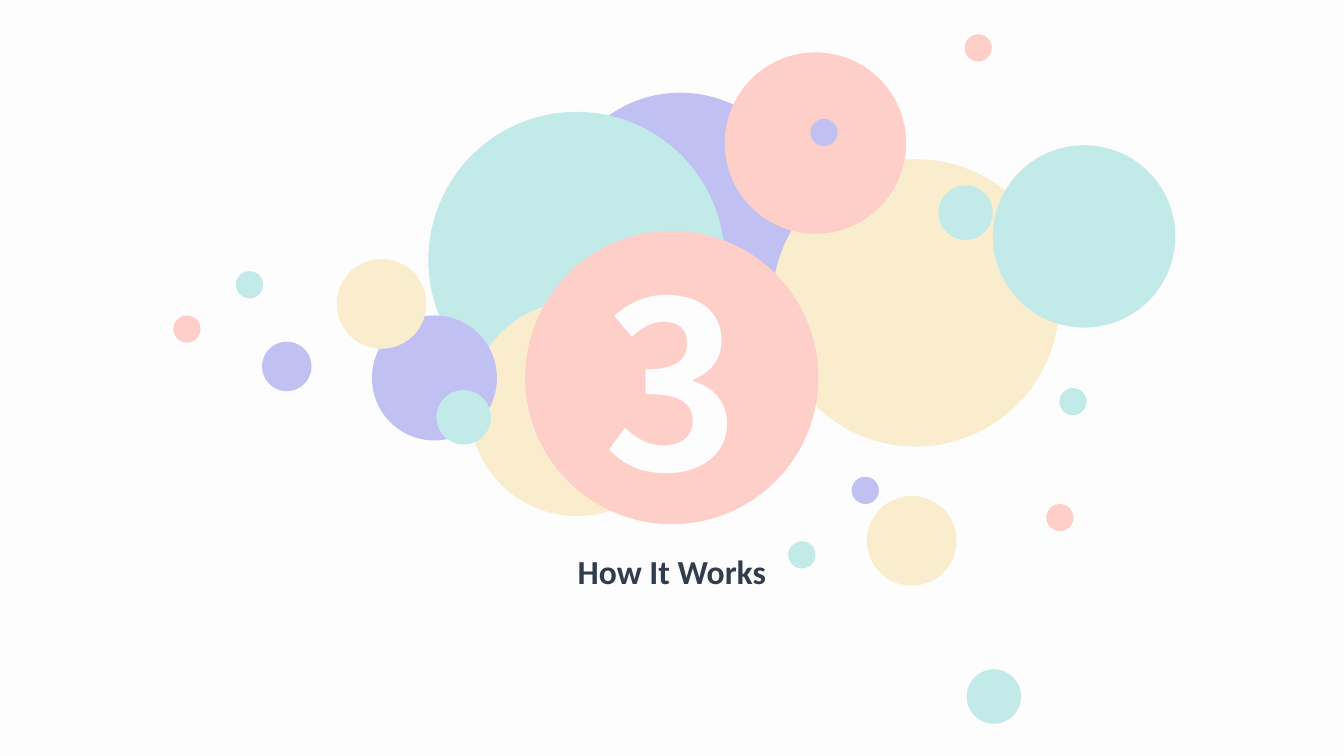
from dataclasses import dataclass

from pptx import Presentation
from pptx import util as u
from pptx.dml import color
from pptx.enum import shapes, text


@dataclass(frozen=True)
class Theme:
    """Colours, fonts and type sizes of the deck."""
    paper: str = "FDFDFD"
    ink: str = "313D4D"
    lilac: str = "C0C0F2"
    mint: str = "C2EAE8"
    cream: str = "FAEDCE"
    coral: str = "FECFC8"
    number_font: str = "Noto Sans CJK KR"
    title_font: str = "Calibri"
    number_size: int = 166
    title_size: int = 24


COLUMNS, ROWS = 40, 22.5
DOT, BEAD, BALL = 0.81, 1.62, 2.67

BUBBLES = [
    ("lilac", 16.56, 2.76, 7.38),
    ("mint", 12.75, 3.33, 8.82),
    ("cream", 13.98, 8.97, 6.39),
    ("cream", 22.98, 4.74, 8.55),
    ("coral", 21.57, 1.56, 5.4),
    ("lilac", 11.07, 9.39, 3.72),
    ("cream", 25.8, 14.76, BALL),
    ("lilac", 25.35, 14.19, DOT),
    ("mint", 23.46, 16.11, DOT),
    ("coral", 31.14, 15, DOT),
    ("mint", 28.77, 19.92, BEAD),
    ("mint", 29.55, 4.32, 5.43),
    ("cream", 10.02, 7.71, BALL),
    ("lilac", 7.8, 10.17, 1.47),
    ("mint", 7.02, 8.07, DOT),
    ("coral", 5.16, 9.39, DOT),
    ("mint", 12.99, 11.61, BEAD),
    ("lilac", 24.12, 3.54, DOT),
    ("mint", 31.53, 11.55, DOT),
    ("coral", 28.71, 1.02, DOT),
    ("mint", 27.93, 5.52, BEAD),
]


def write(shape, words, *, font, size, ink, anchor):
    """Put one bold, centred line of text into a shape."""
    frame = shape.text_frame
    frame.word_wrap = True
    frame.vertical_anchor = anchor
    para = frame.paragraphs[0]
    para.alignment = text.PP_ALIGN.CENTER
    span = para.add_run()
    span.text = words
    span.font.name = font
    span.font.size = u.Pt(size)
    span.font.bold = True
    span.font.color.rgb = color.RGBColor.from_string(ink)


class Page:
    """A title-only slide drawn on a grid of columns and rows."""

    def __init__(self, deck, theme):
        """Add the slide and paint its background."""
        self.theme = theme
        self.column = deck.slide_width / COLUMNS
        self.row = deck.slide_height / ROWS
        self.slide = deck.slides.add_slide(deck.slide_layouts[5])
        self.paint(self.slide.background.fill, theme.paper)

    def paint(self, fill, tint):
        """Give a fill one solid colour."""
        fill.solid()
        fill.fore_color.rgb = color.RGBColor.from_string(tint)

    def area(self, left, top, width, height):
        """Turn grid units into slide lengths."""
        return (round(left * self.column), round(top * self.row),
                round(width * self.column), round(height * self.row))

    def bubble(self, tint, left, top, size):
        """Draw a plain circle."""
        circle = self.slide.shapes.add_shape(
            shapes.MSO_SHAPE.OVAL, *self.area(left, top, size, size))
        circle.shadow.inherit = False
        circle.line.fill.background()
        self.paint(circle.fill, getattr(self.theme, tint))
        return circle

    def number(self, words, tint, left, top, size):
        """Draw a circle that carries the section number."""
        circle = self.bubble(tint, left, top, size)
        write(circle, words, font=self.theme.number_font, size=self.theme.number_size,
              ink=self.theme.paper, anchor=text.MSO_ANCHOR.MIDDLE)

    def title(self, words, left, top, width, height):
        """Place the slide title in front of the circles."""
        box = self.slide.shapes.title
        box.left, box.top, box.width, box.height = self.area(left, top, width, height)
        write(box, words, font=self.theme.title_font, size=self.theme.title_size,
              ink=self.theme.ink, anchor=text.MSO_ANCHOR.TOP)
        box.text_frame.auto_size = text.MSO_AUTO_SIZE.SHAPE_TO_FIT_TEXT
        box.element.getparent().append(box.element)


def main():
    """Build the section slide and save the deck."""
    deck = Presentation()
    deck.slide_width, deck.slide_height = u.Inches(40 / 3), u.Inches(7.5)
    page = Page(deck, Theme())
    for bubble in BUBBLES:
        page.bubble(*bubble)
    page.number("3", "coral", 15.63, 6.87, 8.73)
    page.title("How It Works", 10.95, 16.26, 18.09, 1.5)
    deck.save("out.pptx")


if __name__ == "__main__":
    main()
